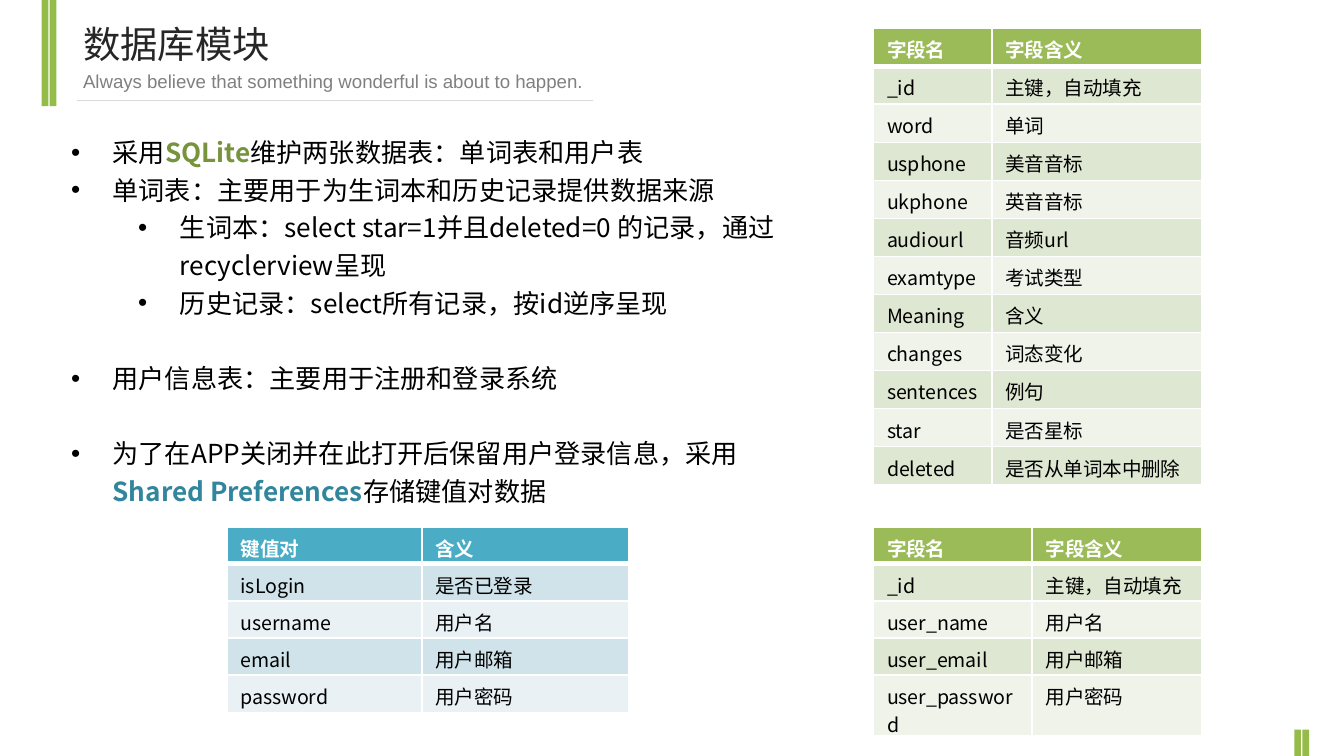
from dataclasses import dataclass

import pptx
import pptx.dml.color
import pptx.enum.shapes
import pptx.oxml.ns
import pptx.util
from lxml import etree
from pptx.util import Inches

CJK = "Noto Sans CJK SC"


@dataclass
class Palette:
    header: str
    odd: str
    even: str


@dataclass
class Grid:
    left: float
    top: float
    widths: tuple[float, ...]
    row_height: float
    palette: Palette
    rows: list[tuple[str, str]]


@dataclass
class Run:
    text: str
    color: str = "000000"
    bold: bool = False


@dataclass
class Bullet:
    runs: list[Run]
    indent: float = 0.31
    before: float = 0


GREEN = Palette("9BBB59", "DEE7D1", "EFF3EA")
BLUE = Palette("4BACC6", "D0E3EA", "E9F1F5")
GAP = 20.2

BARS = [(0.31, 0, 0.79), (0.37, 0, 0.79), (9.63, 5.43, 0.2), (9.69, 5.43, 0.2)]

BULLETS = [
    Bullet([Run("采用"), Run("SQLite", "77933C", True), Run("维护两张数据表：单词表和用户表")]),
    Bullet([Run("单词表：主要用于为生词本和历史记录提供数据来源")]),
    Bullet([Run("生词本：select star=1并且deleted=0 的记录，通过recyclerview呈现")], 0.81),
    Bullet([Run("历史记录：select所有记录，按id逆序呈现")], 0.81),
    Bullet([Run("用户信息表：主要用于注册和登录系统")], before=GAP),
    Bullet([Run("为了在APP关闭并在此打开后保留用户登录信息，采用"),
            Run("Shared Preferences", "31859C", True), Run("存储键值对数据")], before=GAP),
]

GRIDS = [
    Grid(6.5, 0.21, (0.88, 1.56), 3.4 / 12, GREEN, [
        ("字段名", "字段含义"), ("_id", "主键，自动填充"), ("word", "单词"),
        ("usphone", "美音音标"), ("ukphone", "英音音标"), ("audiourl", "音频url"),
        ("examtype", "考试类型"), ("Meaning", "含义"), ("changes", "词态变化"),
        ("sentences", "例句"), ("star", "是否星标"), ("deleted", "是否从单词本中删除")]),
    Grid(6.5, 3.92, (1.18, 1.26), 1.38 / 5, GREEN, [
        ("字段名", "字段含义"), ("_id", "主键，自动填充"), ("user_name", "用户名"),
        ("user_email", "用户邮箱"), ("user_password", "用户密码")]),
    Grid(1.69, 3.92, (1.45, 1.54), 1.38 / 5, BLUE, [
        ("键值对", "含义"), ("isLogin", "是否已登录"), ("username", "用户名"),
        ("email", "用户邮箱"), ("password", "用户密码")]),
]


def rgb(color: str) -> pptx.dml.color.RGBColor:
    return pptx.dml.color.RGBColor.from_string(color)


def set_font(p, size: float, color: str, name: str = CJK, bold: bool = False) -> None:
    p.font.size = pptx.util.Pt(size)
    p.font.name = name
    p.font.bold = bold
    p.font.color.rgb = rgb(color)
    etree.SubElement(p.font._element, pptx.oxml.ns.qn("a:ea"), typeface=name)


def add_text_frame(s, left: float, top: float, width: float, height: float):
    tf = s.shapes.add_textbox(Inches(left), Inches(top), Inches(width), Inches(height)).text_frame
    tf.word_wrap = True
    return tf


def add_heading(s, top: float, height: float, text: str, size: float, color: str, name: str) -> None:
    p = add_text_frame(s, 0.52, top, 4.23, height).paragraphs[0]
    p.text = text
    set_font(p, size, color, name)


def add_bar(s, left: float, top: float, height: float) -> None:
    sp = s.shapes.add_shape(pptx.enum.shapes.MSO_SHAPE.RECTANGLE,
                            Inches(left), Inches(top), Inches(0.05), Inches(height))
    sp.shadow.inherit = False
    sp.fill.solid()
    sp.fill.fore_color.rgb = rgb("95BC49")
    sp.line.fill.background()


def add_rule(s) -> None:
    line = s.shapes.add_connector(pptx.enum.shapes.MSO_CONNECTOR.STRAIGHT,
                                  Inches(0.57), Inches(0.75), Inches(4.41), Inches(0.75))
    line.line.color.rgb = rgb("D9D9D9")
    line.line.width = pptx.util.Pt(0.75)
    etree.SubElement(line._element.spPr, pptx.oxml.ns.qn("a:effectLst"))


def add_bullets(s, bullets: list[Bullet]) -> None:
    tf = add_text_frame(s, 0.43, 0.92, 5.59, 3.19)
    for i, bullet in enumerate(bullets):
        p = tf.add_paragraph() if i else tf.paragraphs[0]
        p.level = int(bullet.indent > 0.31)
        p.line_spacing = 1.2
        if bullet.before:
            p.space_before = pptx.util.Pt(bullet.before)
        props = p._p.get_or_add_pPr()
        props.set("marL", str(Inches(bullet.indent)))
        props.set("indent", str(Inches(-0.31)))
        etree.SubElement(props, pptx.oxml.ns.qn("a:buFont"), typeface="Arial")
        etree.SubElement(props, pptx.oxml.ns.qn("a:buChar"), char="•")
        set_font(p, 14, "000000")
        for run in bullet.runs:
            r = p.add_run()
            r.text = run.text
            if run.bold:
                r.font.bold = True
                r.font.color.rgb = rgb(run.color)


def set_border(cell, side: str, width: float) -> None:
    line = etree.Element(pptx.oxml.ns.qn(f"a:ln{side}"), w=str(pptx.util.Pt(width)))
    fill = etree.SubElement(line, pptx.oxml.ns.qn("a:solidFill"))
    etree.SubElement(fill, pptx.oxml.ns.qn("a:srgbClr"), val="FFFFFF")
    cell._tc.get_or_add_tcPr().insert(0, line)


def add_grid(s, grid: Grid) -> None:
    table = s.shapes.add_table(len(grid.rows), len(grid.widths), Inches(grid.left), Inches(grid.top),
                               Inches(sum(grid.widths)),
                               Inches(grid.row_height * len(grid.rows))).table
    for column, width in zip(table.columns, grid.widths):
        column.width = Inches(width)
    for i, row in enumerate(grid.rows):
        table.rows[i].height = Inches(grid.row_height)
        fill = (grid.palette.odd if i % 2 else grid.palette.even) if i else grid.palette.header
        for j, text in enumerate(row):
            cell = table.cell(i, j)
            cell.fill.solid()
            cell.fill.fore_color.rgb = rgb(fill)
            for side in "BTRL":
                set_border(cell, side, 3 if (i, side) in ((0, "B"), (1, "T")) else 1)
            p = cell.text_frame.paragraphs[0]
            p.text = text
            set_font(p, 10.5, "000000" if i else "FFFFFF", bold=not i)


def main() -> None:
    """Build the database module slide."""
    prs = pptx.Presentation()
    prs.slide_width, prs.slide_height = Inches(10), Inches(5.625)
    s = prs.slides.add_slide(prs.slide_layouts[6])
    for bar in BARS:
        add_bar(s, *bar)
    add_heading(s, 0.11, 0.44, "数据库模块", 20, "262626", CJK)
    add_heading(s, 0.47, 0.27, "Always believe that something wonderful is about to happen.",
                10, "808080", "Arial")
    add_rule(s)
    add_bullets(s, BULLETS)
    for grid in GRIDS:
        add_grid(s, grid)
    prs.save("out.pptx")


if __name__ == "__main__":
    main()
